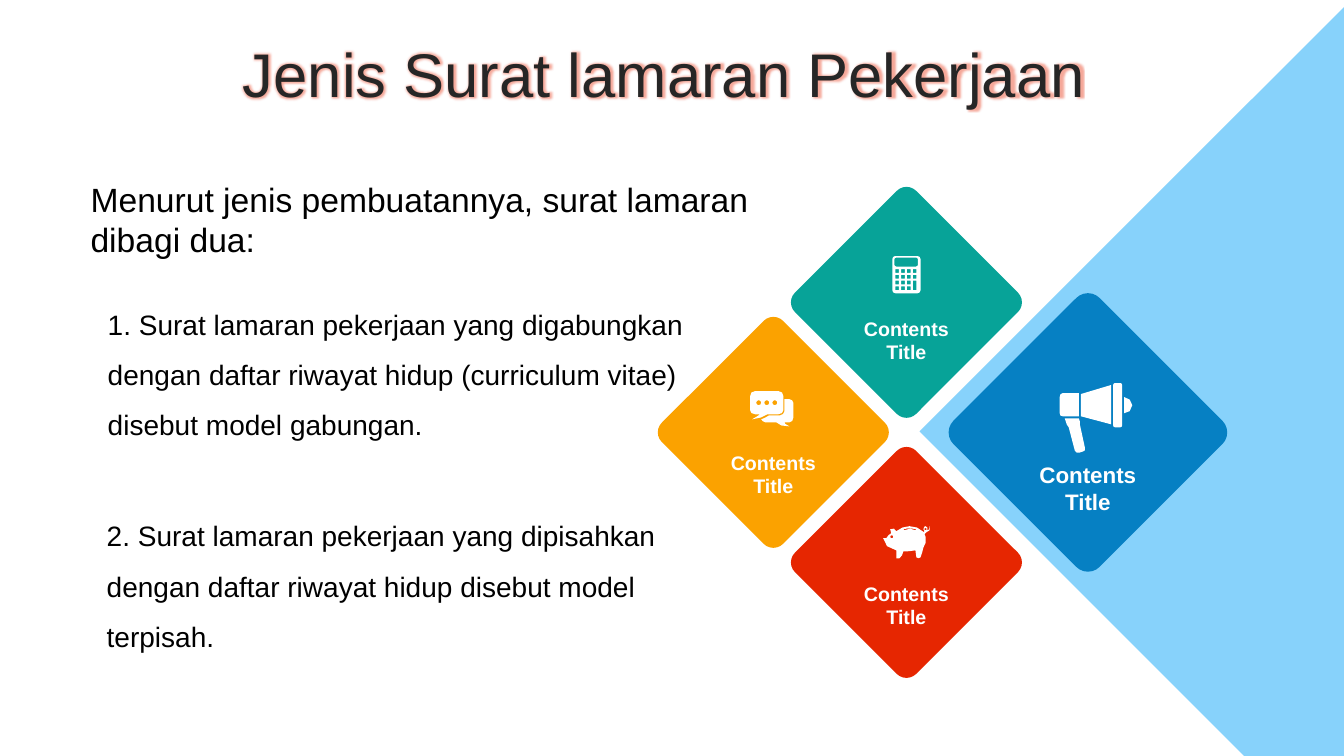
from lxml.etree import SubElement
from pptx import Presentation
from pptx.dml.color import RGBColor
from pptx.enum.shapes import MSO_SHAPE as Preset
from pptx.enum.text import MSO_ANCHOR as Anchor, MSO_AUTO_SIZE as AutoSize, PP_ALIGN as Align
from pptx.oxml.ns import qn
from pptx.util import Inches, Pt

WIDTH, HEIGHT = 13.33, 7.5
FONT = "Arial"
WHITE, BLACK, TITLE_INK, GLOW = "FFFFFF", "000000", "262626", "E62601"
SKY, BLUE, ORANGE, TEAL, RED = "87D2FB", "0680C3", "FBA200", "07A398", "E62601"
UNIT = Inches(0.01)
CURVE_STEPS = 2


def color(hex_value):
    return RGBColor.from_string(hex_value)


def paint(shape, hex_value):
    shape.shadow.inherit = False
    shape.fill.solid()
    shape.fill.fore_color.rgb = color(hex_value)
    shape.line.fill.background()


def add_text(slide, box, lines, size, ink=BLACK, bold=None, align=None,
             anchor=Anchor.TOP, spacing=None):
    shape = slide.shapes.add_textbox(*map(Inches, box))
    frame = shape.text_frame
    frame.word_wrap = True
    frame.auto_size = AutoSize.NONE
    frame.vertical_anchor = anchor
    frame.text = "\n".join(lines)
    for paragraph in frame.paragraphs:
        paragraph.alignment = align
        paragraph.line_spacing = spacing
        font = paragraph.font
        font.name, font.size, font.bold = FONT, Pt(size), bold
        font.color.rgb = color(ink)
    return shape


def rectangle(left, top, width, height):
    right, bottom = left + width, top + height
    return [(left, top), (right, top), (right, bottom), (left, bottom)]


def rounded(left, top, width, height, radius):
    """Contour of a rounded rectangle; a radius of half the side gives a circle."""
    right, bottom, bend = left + width, top + height, radius * 0.45
    return [
        (left + radius, top), (right - radius, top),
        (right - bend, top, right, top + bend, right, top + radius),
        (right, bottom - radius),
        (right, bottom - bend, right - bend, bottom, right - radius, bottom),
        (left + radius, bottom),
        (left + bend, bottom, left, bottom - bend, left, bottom - radius),
        (left, top + radius),
        (left, top + bend, left + bend, top, left + radius, top),
    ]


def flatten(contour):
    """Turn pairs (lines) and sextuples (Bézier curves) into points in EMU."""
    points = []
    for step in contour:
        if len(step) == 2:
            if step not in points[-1:]:
                points.append(step)
            continue
        nodes = [points[-1], step[:2], step[2:4], step[4:]]
        for index in range(1, CURVE_STEPS + 1):
            t = index / CURVE_STEPS
            weights = ((1 - t) ** 3, 3 * t * (1 - t) ** 2, 3 * t * t * (1 - t), t ** 3)
            points.append(tuple(sum(weight * node[axis] for weight, node in zip(weights, nodes))
                                for axis in (0, 1)))
    return [(x * UNIT, y * UNIT) for x, y in points]


def add_outline(slide, left, top, contours, hex_value):
    """Draw contours, given in hundredths of an inch, as one shape; inner ones are holes."""
    outlines = [flatten(contour) for contour in contours]
    builder = slide.shapes.build_freeform(*outlines[0][0], scale=1.0)
    for number, points in enumerate(outlines):
        if number:
            builder.move_to(*points[0])
        builder.add_line_segments(points[1:], close=True)
    paint(builder.convert_to_shape(Inches(left), Inches(top)), hex_value)


def calculator():
    keys = [rectangle(3 + 5.8 * column, 13 + 5.7 * row, 3.6, 3.8)
            for row in range(4) for column in range(4) if column < 3 or row < 2]
    tall_key = rectangle(20.4, 24.4, 3.6, 9.5)
    return [rounded(0, 0, 28, 37, 3), rounded(2, 1.5, 23.5, 9, 2), tall_key, *keys]


def chat():
    back = [(34, 8), (39, 8), (41, 8, 43, 10, 43, 12), (43, 26), (43, 29, 41, 31, 39, 31),
            (34, 31), (35, 32, 34, 33, 39, 35), (31, 35, 30, 34, 26, 31), (15, 31),
            (13, 31, 12, 29, 11, 28), (14, 27, 16, 26, 19, 24), (30, 24),
            (32, 24, 34, 22, 34, 20)]
    front = [(5, 0), (28, 0), (31, 0, 33, 2, 33, 5), (33, 19), (33, 21, 31, 23, 28, 23),
             (17, 23), (12, 26, 10, 27, 2, 28), (7, 25, 7, 25, 10, 23), (5, 23),
             (2, 23, 0, 21, 0, 19), (0, 5), (0, 2, 2, 0, 5, 0)]
    dots = [rounded(6 + 8 * index, 9, 5, 5, 2.5) for index in range(3)]
    return [back, front, *dots]


def megaphone():
    handle = [(19, 35), (20, 38), (20, 41), (25, 64), (26, 66, 25, 68, 23, 68), (20, 69),
              (18, 70, 16, 69, 15, 67), (9, 44), (7, 41), (5, 35)]
    knob = [(64, 14), (68, 14, 72, 18, 72, 22), (72, 27, 68, 30, 64, 30)]
    grip = [(3, 10), (19, 10), (19, 33), (3, 33), (1, 33, 0, 32, 0, 30), (0, 14),
            (0, 12, 1, 10, 3, 10)]
    cone = [(51, 2), (51, 41), (21, 33), (21, 11)]
    return [handle, knob, grip, cone, rounded(53, 0, 9, 44, 2)]


def pig():
    body = [(27, 0), (32, 0, 38, 2, 40, 5), (41, 6), (42, 5), (41, 3),
            (41, 1, 42, 0, 43, 0), (45, 0, 45, 2, 45, 4), (46, 4, 47, 4, 47, 0),
            (48, 4, 47, 5, 44, 6), (42, 8), (43, 10), (44, 15, 43, 19, 41, 21),
            (40, 26, 39, 28, 38, 31), (38, 32, 34, 32, 34, 31), (33, 24),
            (29, 25, 24, 25, 21, 25), (21, 28, 19, 30, 17, 32), (14, 32), (14, 24),
            (9, 22, -1, 19, 1, 12), (4, 12), (6, 9, 7, 8, 9, 7), (8, 3),
            (12, 1, 12, 3, 14, 5), (17, 2, 23, 0, 27, 0)]
    back_slot = [(27, 2), (21, 3), (22, 4), (25, 2, 30, 2, 33, 4), (34, 3)]
    return [body, back_slot, rounded(8, 9, 3, 3, 1.5), rectangle(42, 2, 2, 2)]


def add_title(slide, box):
    shape = add_text(slide, box, ["Jenis Surat lamaran Pekerjaan"], 44, TITLE_INK,
                     align=Align.CENTER, anchor=Anchor.MIDDLE, spacing=0.9)
    paragraph = shape.text_frame.paragraphs[0]
    paragraph.space_before = Pt(10)
    run = paragraph.runs[0]
    run.font.color.rgb = color(TITLE_INK)
    effects = SubElement(run.font.fill._xPr, qn("a:effectLst"))
    glow = SubElement(effects, qn("a:glow"), rad=str(Pt(5)))
    tint = SubElement(glow, qn("a:srgbClr"), val=GLOW)
    SubElement(tint, qn("a:alpha"), val="40000")


def add_corner(slide, left, top):
    """Sky-blue wedge from its tip to the right and bottom edges of the slide."""
    right, bottom = (WIDTH - left) * 100, (HEIGHT - top) * 100
    add_outline(slide, left, top, [[(0, 0), (right, -right), (right, bottom), (bottom, bottom)]], SKY)


def add_tile(slide, center, side, hex_value, icon, icon_offset, caption_box, size):
    """Diamond with an icon and a caption, both placed from its center."""
    x, y = center
    diamond = slide.shapes.add_shape(
        Preset.ROUNDED_RECTANGLE, *map(Inches, (x - side / 2, y - side / 2, side, side)))
    diamond.adjustments[0] = 0.08
    diamond.rotation = 45
    paint(diamond, hex_value)
    add_outline(slide, x + icon_offset[0], y + icon_offset[1], icon, WHITE)
    drop, width, height = caption_box
    add_text(slide, (x - width / 2, y + drop, width, height), ["Contents", "Title"], size,
             WHITE, bold=True, align=Align.CENTER)


def add_tiles(slide, x, y):
    """Three small diamonds around (x, y) and a large one to its right."""
    step = 1.29
    add_tile(slide, (x + 1.8, y), 2.05, BLUE, megaphone(), (-0.28, -0.49), (0.24, 1.67, 0.64), 16)
    for center, hex_value, icon, offset, drop in (
            ((x - 1.32, y), ORANGE, chat(), (-0.23, -0.41), 0.13),
            ((x, y - step), TEAL, calculator(), (-0.14, -0.46), 0.09),
            ((x, y + step), RED, pig(), (-0.24, -0.36), 0.14)):
        add_tile(slide, center, 1.7, hex_value, icon, offset, (drop, 1.89, 0.57), 14)


def add_explanation(slide, left, top):
    add_text(slide, (left, top, 7.31, 0.91),
             ["Menurut jenis pembuatannya, surat lamaran dibagi dua:"], 24, anchor=Anchor.MIDDLE)
    kinds = (
        "1. Surat lamaran pekerjaan yang digabungkan dengan daftar riwayat hidup "
        "(curriculum vitae) disebut model gabungan.",
        "2. Surat lamaran pekerjaan yang dipisahkan dengan daftar riwayat hidup "
        "disebut model terpisah.")
    for index, kind in enumerate(kinds):
        add_text(slide, (left + 0.17 - 0.01 * index, top + 1.11 + 2.1 * index, 6.01, 1.55),
                 [kind], 20, spacing=1.5)


def main():
    presentation = Presentation()
    presentation.slide_width, presentation.slide_height = Inches(WIDTH), Inches(HEIGHT)
    slide = presentation.slides.add_slide(presentation.slide_layouts[6])
    add_title(slide, (0.26, 0.37, 12.66, 0.79))
    add_corner(slide, 9.12, 4.28)
    add_tiles(slide, 8.99, 4.29)
    add_explanation(slide, 0.8, 1.72)
    presentation.save("out.pptx")


if __name__ == "__main__":
    main()
